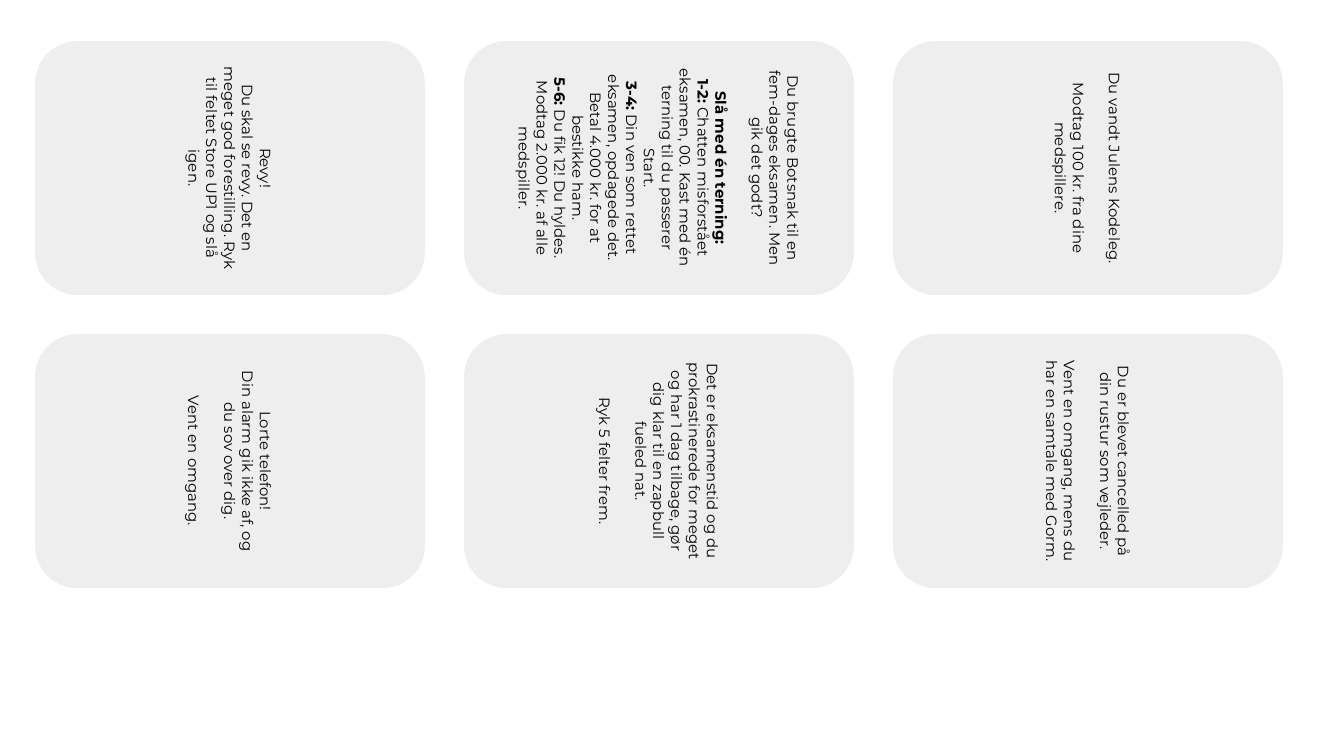
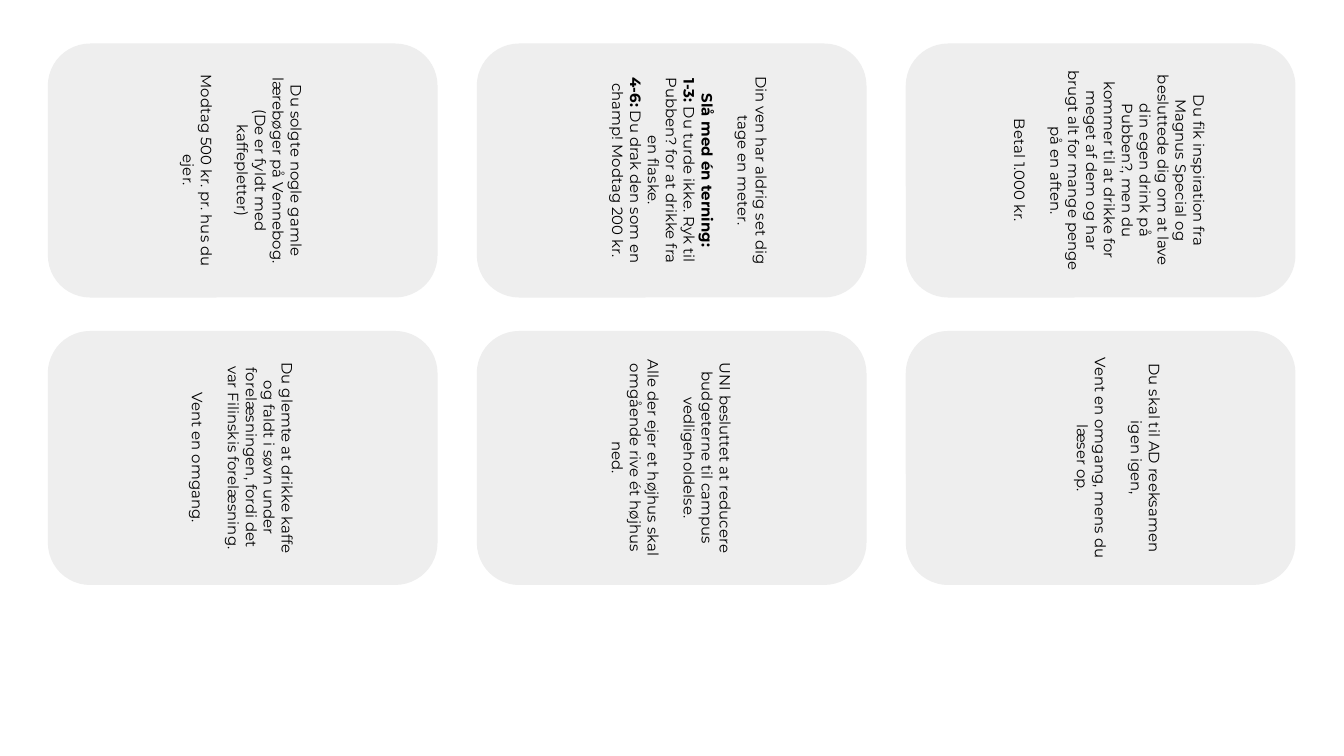
import itertools
from dataclasses import dataclass

import pptx
import pptx.dml.color
import pptx.enum.shapes
import pptx.enum.text
import pptx.util

Pt = pptx.util.Pt


@dataclass
class Theme:
    paper: str = "FFFFFF"
    card: str = "EEEEEE"
    ink: str = "000000"
    font: str = "Montserrat"
    size: float = 8
    line: float = 9.75   # height of one text line
    inset: float = 7.2
    long: float = 208.8  # card size as it lies on the page
    short: float = 136.1


class Deck:
    def __init__(self, theme):
        self.theme = theme
        self.prs = pptx.Presentation()
        self.prs.slide_width, self.prs.slide_height = Pt(720), Pt(405)
        self.slide = None

    def color(self, code):
        return pptx.dml.color.RGBColor.from_string(code)

    def page(self):
        self.slide = self.prs.slides.add_slide(self.prs.slide_layouts[6])
        fill = self.slide.background.fill
        fill.solid()
        fill.fore_color.rgb = self.color(self.theme.paper)

    def text(self, para, text):
        """Write text; *stars* mark bold and a newline breaks the line."""
        for i, part in enumerate(text.split("*")):
            for j, piece in enumerate(part.split("\n")):
                if j:
                    para.add_line_break()
                if piece:
                    run = para.add_run()
                    run.text = piece
                    if i % 2:
                        run.font.bold = True

    def card(self, left, top, blocks, tail=0):
        """Draw a card turned a quarter; tail is free lines below its text."""
        th = self.theme
        shift = (th.long - th.short) / 2
        box = self.slide.shapes.add_shape(
            pptx.enum.shapes.MSO_SHAPE.ROUNDED_RECTANGLE,
            Pt(left + shift), Pt(top - shift), Pt(th.short), Pt(th.long))
        box.rotation = 90
        box.shadow.inherit = False
        box.fill.solid()
        box.fill.fore_color.rgb = self.color(th.card)
        box.line.fill.background()

        frame = box.text_frame
        frame.word_wrap = True
        frame.vertical_anchor = pptx.enum.text.MSO_ANCHOR.MIDDLE
        frame.margin_left = frame.margin_right = frame.margin_top = Pt(th.inset)
        frame.margin_bottom = Pt(th.inset + tail * th.line)
        first = True
        for block in blocks:
            for i, text in enumerate(block):
                para = frame.paragraphs[0] if first else frame.add_paragraph()
                para.alignment = pptx.enum.text.PP_ALIGN.CENTER
                para.font.name = th.font
                para.font.size = Pt(th.size)
                para.font.color.rgb = self.color(th.ink)
                if i == 0 and not first:
                    para.space_before = Pt(th.line)
                self.text(para, text)
                first = False

    def grid(self, left, top, step, cards):
        """Lay the cards out in rows of three."""
        spots = itertools.product(range(2), range(3))
        for (row, col), (blocks, tail) in zip(spots, cards):
            self.card(left + col * 229.8, top + row * step, blocks, tail)


# Cards by row: blocks of paragraphs, then free lines at the end
FIRST = [
    ([["Revy!",
       "Du skal se revy. Det en meget god forestilling. "
       "Ryk til feltet Store UP1 og slå igen."]], 0),
    ([["Du brugte Botsnak til en fem-dages eksamen. Men gik det godt?"],
      ["*Slå med én terning:\n1-2:* Chatten misforstået eksamen, 00. "
       "Kast med én terning til du passerer Start.",
       "*3-4:* Din ven som rettet eksamen, opdagede det. "
       "Betal 4.000 kr. for at bestikke ham.",
       "*5-6:* Du fik 12! Du hyldes. Modtag 2.000 kr. af alle medspiller."]], 0),
    ([["Du vandt Julens Kodeleg."],
      ["Modtag 100 kr. fra dine medspillere."]], 0),
    ([["Lorte telefon!", "Din alarm gik ikke af, og du sov over dig."],
      ["Vent en omgang."]], 0),
    ([["Det er eksamenstid og du prokrastinerede for meget og har 1 dag "
       "tilbage, gør dig klar til en zapbull fueled nat."],
      ["Ryk 5 felter frem."]], 0),
    ([["Du er blevet cancelled på din rustur som vejleder."],
      ["Vent en omgang, mens du har en samtale med Gorm."]], 0),
]
SECOND = [
    ([["Du solgte nogle gamle lærebøger på Vennebog. "
       "(De er fyldt med kaffepletter)"],
      ["Modtag 500 kr. pr. hus du ejer."]], 0),
    ([["Din ven har aldrig set dig tage en meter."],
      ["*Slå med én terning:\n1-3:* Du turde ikke. Ryk til Pubben? "
       "for at drikke fra en flaske.",
       "*4-6:* Du drak den som en champ! Modtag 200 kr."]], 2),
    ([["Du fik inspiration fra Magnus Special og besluttede dig om at lave "
       "din egen drink på Pubben?, men du kommer til at drikke for meget af "
       "dem og har brugt alt for mange penge på en aften."],
      ["Betal 1.000 kr."]], 1),
    ([["Du glemte at drikke kaffe og faldt i søvn under forelæsningen, "
       "fordi det var Filinskis forelæsning."],
      ["Vent en omgang."]], 0),
    ([["UNI besluttet at reducere budgeterne til campus vedligeholdelse."],
      ["Alle der ejer et højhus skal omgående rive ét højhus ned."]], 0),
    ([["Du skal til AD reeksamen igen igen,"],
      ["Vent en omgang, mens du læser op."]], 2),
]


def main():
    deck = Deck(Theme())
    # Left, top and row step of each page
    for left, top, step, cards in [(18.8, 22, 157, FIRST),
                                   (25.6, 23.3, 154, SECOND)]:
        deck.page()
        deck.grid(left, top, step, cards)
    deck.prs.save("out.pptx")


if __name__ == "__main__":
    main()
